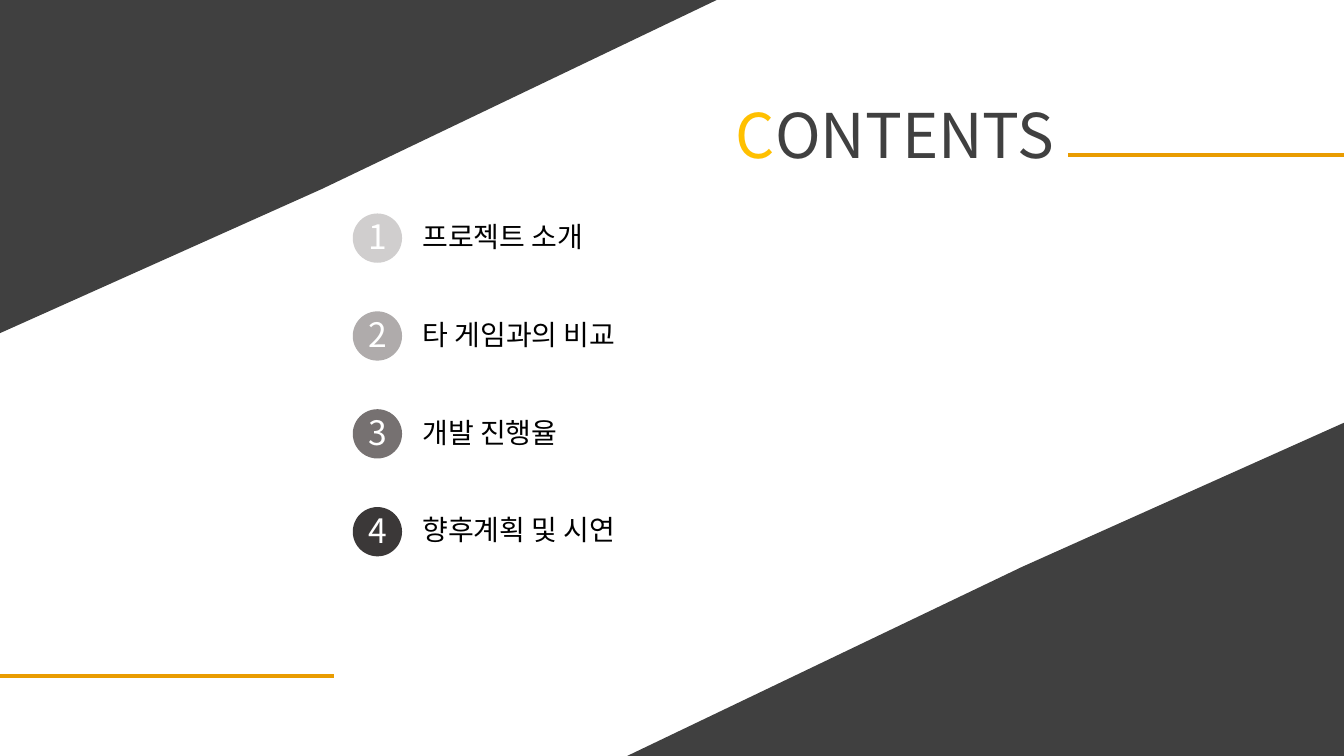
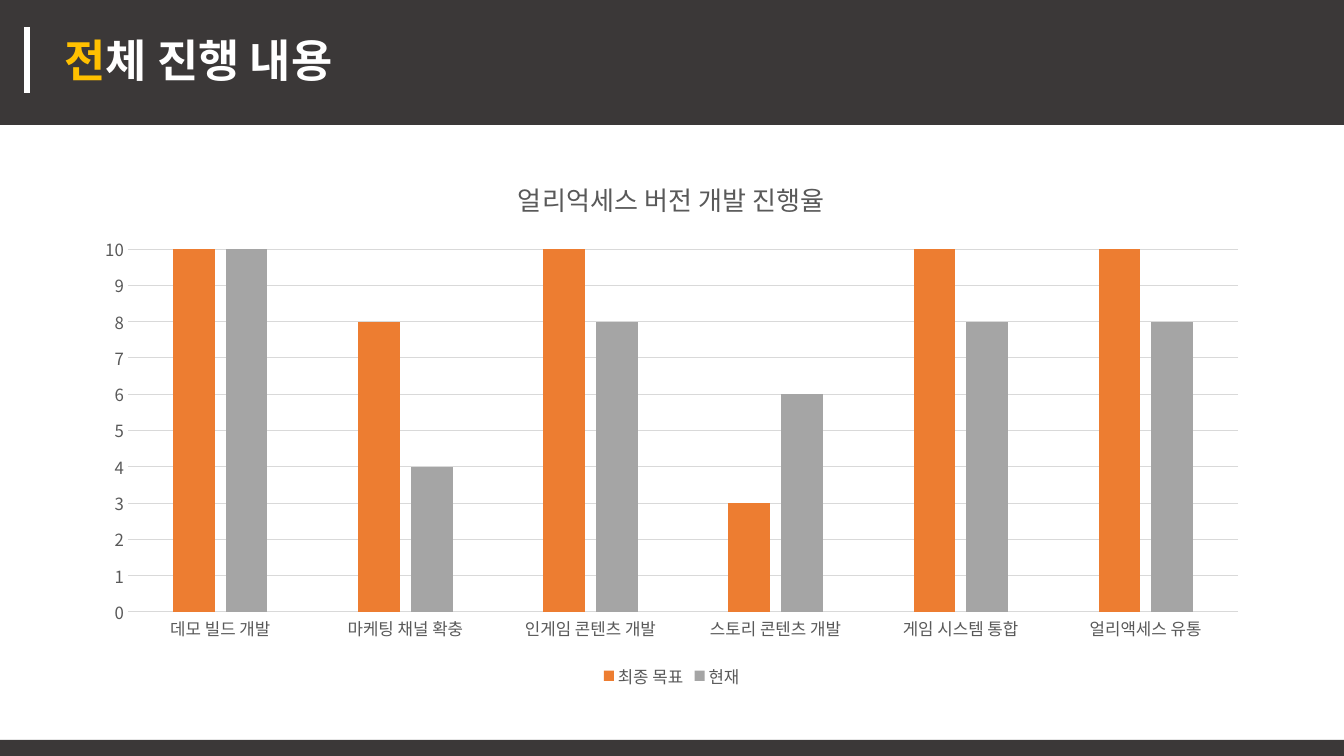
import pptx
import pptx.util
import pptx.dml.color
import pptx.chart.data
import pptx.enum.chart
import pptx.enum.shapes
import pptx.enum.text
import pptx.oxml
import pptx.oxml.ns
import lxml.etree

Pt = pptx.util.Pt
qn = pptx.oxml.ns.qn
Shape = pptx.enum.shapes.MSO_SHAPE
Align = pptx.enum.text.PP_ALIGN
Place = pptx.enum.chart.XL_LEGEND_POSITION
Tick = pptx.enum.chart.XL_TICK_MARK

FACE = "Noto Sans CJK KR"
WIDE, HIGH = 960, 540
DARK, SLATE, GOLD, AMBER = "3B3838", "404040", "FFC000", "E99C01"
WHITE, BLACK, GRAY, PALE = "FFFFFF", "000000", "595959", "D9D9D9"


def paint(fill, tint):
    fill.solid()
    fill.fore_color.rgb = pptx.dml.color.RGBColor.from_string(tint)


def write(shape, runs, size, align=Align.LEFT, bold=False, inset=None):
    frame = shape.text_frame
    looks = {
        "word_wrap": True,
        "auto_size": pptx.enum.text.MSO_AUTO_SIZE.NONE,
        "vertical_anchor": pptx.enum.text.MSO_ANCHOR.MIDDLE,
    }
    if inset is not None:
        looks.update(margin_left=0, margin_right=0, margin_top=0, margin_bottom=Pt(inset))
    for key, value in looks.items():
        setattr(frame, key, value)
    para = frame.paragraphs[0]
    para.alignment = align
    for text, tint in runs:
        run = para.add_run()
        run.text = text
        for key, value in {"name": FACE, "size": Pt(size), "bold": bold}.items():
            setattr(run.font, key, value)
        paint(run.font.fill, tint)


deck = pptx.Presentation()
deck.slide_width, deck.slide_height = Pt(WIDE), Pt(HIGH)
layout = deck.slide_layouts[5]
index, state = [deck.slides.add_slide(layout) for _ in range(2)]
plain = []

wedge = [(0, 0), (512, 0), (230, 134.6), (0, 237.6)]
for points in (wedge, [(WIDE - x, HIGH - y) for x, y in wedge]):
    pen = index.shapes.build_freeform(*points[0], scale=Pt(1))
    pen.add_line_segments(points[1:], close=True)
    plain.append((pen.convert_to_shape(), SLATE))

items = [
    ("프로젝트 소개", "D0CECE"),
    ("타 게임과의 비교", "AFABAB"),
    ("개발 진행율", "767171"),
    ("향후계획 및 시연", DARK),
]
for row, (text, tint) in enumerate(items):
    top = 152.5 + 69.9 * row
    dot = index.shapes.add_shape(Shape.OVAL, Pt(252), Pt(top), Pt(35.2), Pt(35.2))
    plain.append((dot, tint))
    write(dot, [(str(row + 1), WHITE)], 24, Align.CENTER, inset=3)
    label = index.shapes.add_textbox(Pt(294.6), Pt(top + 0.4), Pt(400), Pt(31.6))
    write(label, [(text, BLACK)], 20)

for top, tall in ((0, 89.3), (528.4, 11.6)):
    band = state.shapes.add_shape(Shape.RECTANGLE, 0, Pt(top), Pt(WIDE), Pt(tall))
    plain.append((band, DARK))

for shape, tint in plain:
    paint(shape.fill, tint)
    shape.line.fill.background()
    shape.shadow.inherit = False

heads = [
    (index, (506, 65, 266.4, 60.6), [("C", GOLD), ("ONTENTS", SLATE)], 44, Align.CENTER, False),
    (state, (38.9, 19.4, 308, 46), [("전", GOLD), ("체 진행 내용", WHITE)], 32, Align.LEFT, True),
]
for slide, box, runs, size, align, bold in heads:
    title = slide.shapes.title
    for key, value in zip(("left", "top", "width", "height"), box):
        setattr(title, key, Pt(value))
    write(title, runs, size, align, bold)
    title.element.getparent().append(title.element)

rules = [
    (index, (0, 482.6, 238.8, 482.6), AMBER, 3),
    (index, (763, 111, WIDE, 111), AMBER, 3),
    (state, (19.4, 19.4, 19.4, 66.8), WHITE, 4.5),
]
for slide, ends, tint, thick in rules:
    rule = slide.shapes.add_connector(
        pptx.enum.shapes.MSO_CONNECTOR.STRAIGHT, *[Pt(end) for end in ends]
    )
    rule.line.width = Pt(thick)
    paint(rule.line.fill, tint)
    lxml.etree.SubElement(rule.element.spPr, qn("a:effectLst"))

data = pptx.chart.data.CategoryChartData()
data.categories = [
    "데모 빌드 개발", "마케팅 채널 확충", "인게임 콘텐츠 개발",
    "스토리 콘텐츠 개발", "게임 시스템 통합", "얼리액세스 유통",
]
data.add_series("최종 목표", [10, 8, 10, 3, 10, 10])
data.add_series("현재", [10, 4, 8, 6, 8, 8])
chart = state.shapes.add_chart(
    pptx.enum.chart.XL_CHART_TYPE.COLUMN_CLUSTERED,
    Pt(58.3), Pt(111.6), Pt(843), Pt(383), data,
).chart
plot, cats, vals = chart.plots[0], chart.category_axis, chart.value_axis
chart.has_title = chart.has_legend = True
head = chart.chart_title.text_frame.paragraphs[0].add_run()
head.text = "얼리억세스 버전 개발 진행율"

formats = [
    (plot, {"gap_width": 219, "overlap": -27, "vary_by_categories": False}),
    (chart.legend, {"position": Place.BOTTOM, "include_in_layout": False}),
    (cats, {"major_tick_mark": Tick.NONE, "minor_tick_mark": Tick.NONE}),
    (vals, {
        "major_tick_mark": Tick.NONE, "minor_tick_mark": Tick.NONE,
        "minimum_scale": 0, "maximum_scale": 10, "major_unit": 1,
        "has_major_gridlines": True,
    }),
]
for part, looks in formats:
    for key, value in looks.items():
        setattr(part, key, value)

fonts = [
    (chart.font, 10, BLACK),
    (head.font, 18.6, GRAY),
    (chart.legend.font, 12, GRAY),
    (cats.tick_labels.font, 12, GRAY),
    (vals.tick_labels.font, 12, GRAY),
]
for font, size, tint in fonts:
    for key, value in {"name": FACE, "size": Pt(size), "bold": False}.items():
        setattr(font, key, value)
    paint(font.fill, tint)

for line in (cats.format.line, vals.major_gridlines.format.line):
    line.width = Pt(0.75)
    paint(line.fill, PALE)
vals.format.line.fill.background()
for bars, tint in zip(plot.series, ("ED7D31", "A5A5A5")):
    paint(bars.format.fill, tint)

for root in (index.element, state.element, chart.element):
    for latin in list(root.iter(qn("a:latin"))):
        east = pptx.oxml.parse_xml(
            '<a:ea xmlns:a="http://schemas.openxmlformats.org/drawingml/2006/main"/>'
        )
        east.set("typeface", FACE)
        latin.addnext(east)

deck.save("out.pptx")
